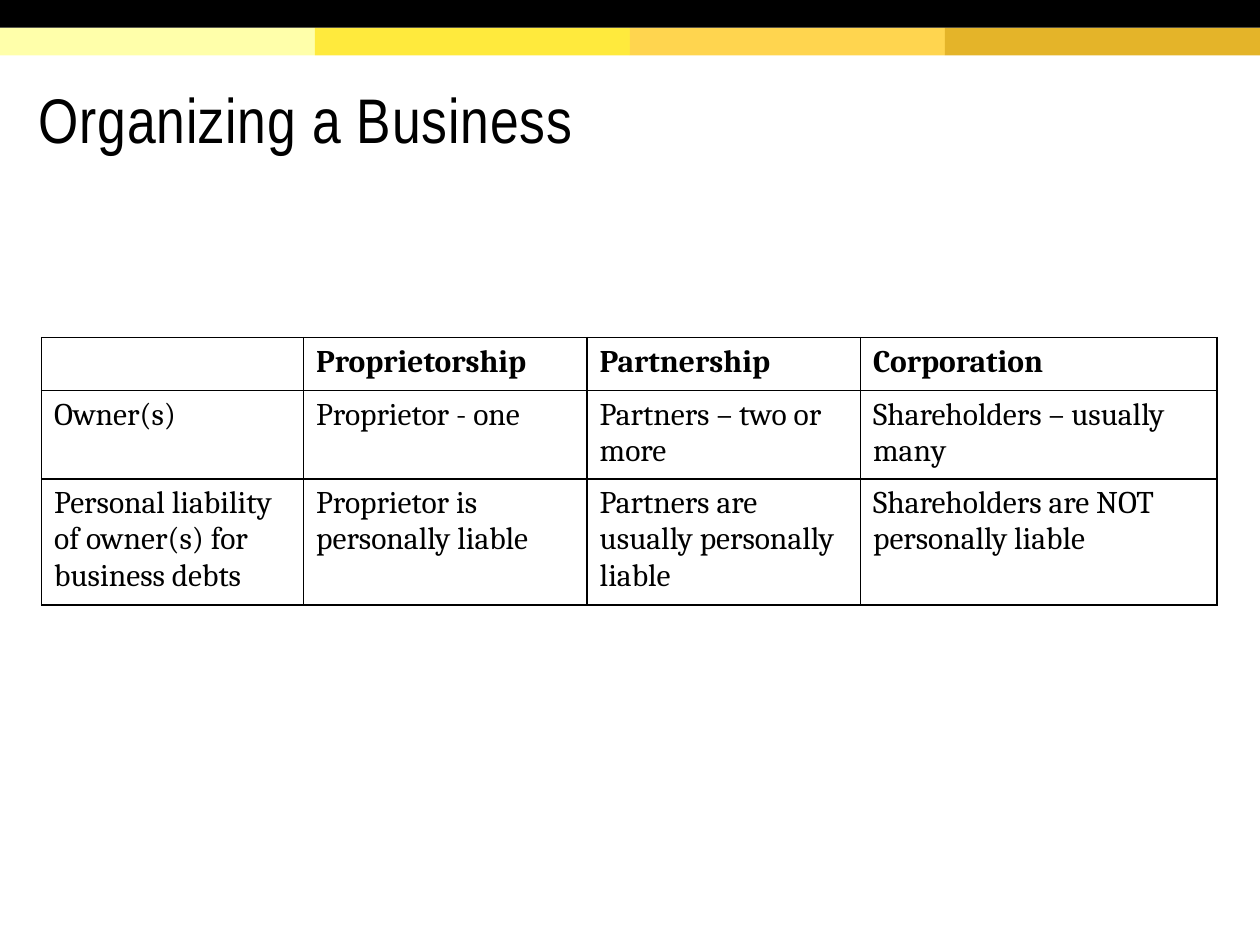
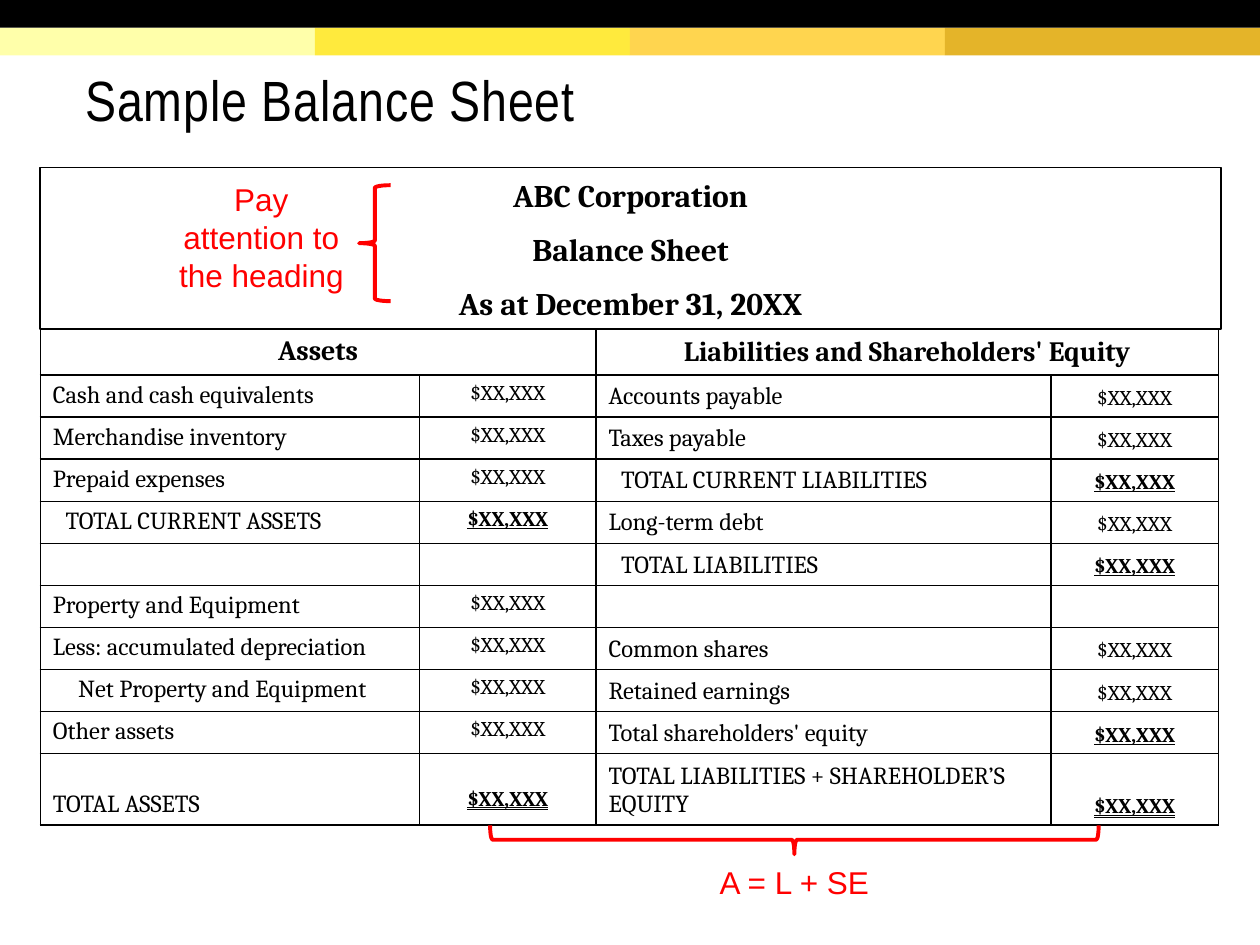
from lxml.etree import SubElement
from pptx import Presentation
from pptx.dml.color import RGBColor
from pptx.enum.shapes import MSO_SHAPE
from pptx.enum.text import MSO_ANCHOR, MSO_UNDERLINE, PP_ALIGN
from pptx.oxml.ns import qn
from pptx.util import Inches, Pt

BLACK, RED = "000000", "FF0000"
BAND_COLOURS = ["FFFFAA", "FFEA3D", "FFD54F", "E4B429"]
BAND_HEIGHT = 0.22
TITLE_FONT, TABLE_FONT, NOTE_FONT = "Arial Narrow", "Cambria", "Arial"
AMOUNT = "$XX,XXX"

OWNERSHIP = [
    ["", "Proprietorship", "Partnership", "Corporation"],
    ["Owner(s)", "Proprietor - one", "Partners – two or more",
     "Shareholders – usually many"],
    ["Personal liability of owner(s) for business debts",
     "Proprietor is personally liable",
     "Partners are usually personally liable",
     "Shareholders are NOT personally liable"],
]
HEADING = ["ABC Corporation", "Balance Sheet", "As at December 31, 20XX"]
ASSETS = ["Cash and cash equivalents", "Merchandise inventory",
          "Prepaid expenses", "TOTAL CURRENT ASSETS", "",
          "Property and Equipment", "Less: accumulated depreciation",
          "Net Property and Equipment", "Other assets", "TOTAL ASSETS"]
CLAIMS = ["Accounts payable", "Taxes payable", "TOTAL CURRENT LIABILITIES",
          "Long-term debt", "TOTAL LIABILITIES", "", "Common shares",
          "Retained earnings", "Total shareholders' equity",
          "TOTAL LIABILITIES + SHAREHOLDER’S EQUITY"]
INDENTS = {"TOTAL CURRENT ASSETS": 0.1, "TOTAL CURRENT LIABILITIES": 0.1,
           "TOTAL LIABILITIES": 0.1, "Net Property and Equipment": 0.2}
GRAND_TOTALS = {ASSETS[-1], CLAIMS[-1]}
SUBTOTALS = {"TOTAL CURRENT ASSETS", "TOTAL CURRENT LIABILITIES",
             "TOTAL LIABILITIES", "Total shareholders' equity"}


def colour(hex_code):
    """Turn a hex string into a colour."""
    return RGBColor.from_string(hex_code)


def style(paragraph, font_name, size, hex_code=BLACK, bold=False,
          align=PP_ALIGN.LEFT):
    """Set the font and alignment of a paragraph."""
    paragraph.alignment = align
    font = paragraph.font
    font.name, font.size, font.bold = font_name, Pt(size), bold
    font.color.rgb = colour(hex_code)


def add_outline(slide, preset, box, hex_code, width):
    """Add an unfilled preset shape with a line."""
    outline = slide.shapes.add_shape(preset, *map(Inches, box))
    outline.shadow.inherit = False
    outline.fill.background()
    outline.line.color.rgb = colour(hex_code)
    outline.line.width = Pt(width)
    return outline


def add_band(slide, left, top, width, hex_code):
    """Add one solid band of the page header."""
    band = slide.shapes.add_shape(
        MSO_SHAPE.RECTANGLE, Inches(left), Inches(top), Inches(width),
        Inches(BAND_HEIGHT))
    band.shadow.inherit = False
    band.fill.solid()
    band.fill.fore_color.rgb = colour(hex_code)
    band.line.fill.background()


def add_text(slide, text, box):
    """Add a wrapped text box and return its frame."""
    frame = slide.shapes.add_textbox(*map(Inches, box)).text_frame
    frame.word_wrap = True
    frame.text = text
    return frame


def add_page(deck, title, title_box, title_size):
    """Add a slide with the header bands and a title."""
    slide = deck.slides.add_slide(deck.slide_layouts[6])
    band_width = 10 / len(BAND_COLOURS)
    for index, hex_code in enumerate(BAND_COLOURS):
        add_band(slide, index * band_width, BAND_HEIGHT, band_width, hex_code)
    add_band(slide, 0, 0, 10, BLACK)
    frame = add_text(slide, title, title_box)
    frame.vertical_anchor = MSO_ANCHOR.MIDDLE
    frame.margin_top = Inches(0.1)
    heading = frame.paragraphs[0]
    style(heading, TITLE_FONT, title_size)
    heading.line_spacing = 0.85
    heading.runs[0]._r.get_or_add_rPr().set("spc", "50")
    return slide


def add_note(slide, text, box):
    """Add a red centred remark."""
    frame = add_text(slide, text, box)
    style(frame.paragraphs[0], NOTE_FONT, 18, RED, align=PP_ALIGN.CENTER)


def add_brace(slide, box, rotation=0):
    """Add a red brace."""
    brace = add_outline(slide, MSO_SHAPE.LEFT_BRACE, box, RED, 2.25)
    brace.rotation = rotation


def set_borders(cell):
    """Draw a thin black line on every side of a cell."""
    properties = cell._tc.get_or_add_tcPr()
    for position, side in enumerate(("lnL", "lnR", "lnT", "lnB")):
        border = SubElement(properties, qn(f"a:{side}"), w=str(Pt(1)))
        fill = SubElement(border, qn("a:solidFill"))
        SubElement(fill, qn("a:srgbClr"), val=BLACK)
        properties.insert(position, border)


def add_grid(slide, left, top, widths, heights):
    """Add an empty table with black borders and no fill."""
    table = slide.shapes.add_table(
        len(heights), len(widths), Inches(left), Inches(top),
        Inches(sum(widths)), Inches(sum(heights))).table
    table.first_row = table.horz_banding = False
    for column, width in zip(table.columns, widths):
        column.width = Inches(width)
    for row, height in zip(table.rows, heights):
        row.height = Inches(height)
    for cell in table.iter_cells():
        cell.fill.background()
        set_borders(cell)
    return table


def fill_cell(cell, text, size, bold=False, align=PP_ALIGN.LEFT,
              anchor=MSO_ANCHOR.TOP):
    """Write styled text into a cell."""
    cell.text = text
    cell.vertical_anchor = anchor
    paragraph = cell.text_frame.paragraphs[0]
    style(paragraph, TABLE_FONT, size, bold=bold, align=align)
    if not text:
        SubElement(paragraph._p, qn("a:endParaRPr"), sz=str(size * 100))


def fill_side(table, first_column, heading, labels, anchor):
    """Fill the label and amount columns of one side of the sheet."""
    header = table.cell(0, first_column)
    header.merge(table.cell(0, first_column + 1))
    fill_cell(header, heading, 16, True, PP_ALIGN.CENTER, anchor)
    for row, label in enumerate(labels, 1):
        grand = label in GRAND_TOTALS
        total = grand or label in SUBTOTALS
        row_anchor = MSO_ANCHOR.BOTTOM if grand else anchor
        item = table.cell(row, first_column)
        fill_cell(item, label, 14, anchor=row_anchor)
        item.margin_left = Inches(0.1 + INDENTS.get(label, 0))
        amount = table.cell(row, first_column + 1)
        fill_cell(amount, AMOUNT if label else "", 12, total,
                  PP_ALIGN.CENTER, row_anchor)
        if total:
            amount.text_frame.paragraphs[0].font.underline = (
                MSO_UNDERLINE.DOUBLE_LINE if grand
                else MSO_UNDERLINE.SINGLE_LINE)
        if grand and anchor == MSO_ANCHOR.TOP:
            amount.margin_bottom = Inches(0.11)


def add_sheet_heading(slide):
    """Add the framed three-line heading of the balance sheet."""
    frame = add_outline(slide, MSO_SHAPE.RECTANGLE, (0.32, 1.33, 9.37, 1.28),
                        BLACK, 1).text_frame
    frame.vertical_anchor = MSO_ANCHOR.TOP
    frame.margin_top = Inches(0.07)
    frame.text = "\n".join(HEADING)
    for paragraph in frame.paragraphs:
        style(paragraph, TABLE_FONT, 18, bold=True, align=PP_ALIGN.CENTER)
        paragraph.space_after = Pt(9)


def build_ownership(deck):
    """Build the comparison of business forms."""
    slide = add_page(deck, "Organizing a Business",
                     (0.21, 0.47, 9.49, 0.98), 36)
    table = add_grid(slide, 0.33, 2.68, [2.08, 2.25, 2.17, 2.83],
                     [0.42, 0.68, 0.96])
    for row, texts in enumerate(OWNERSHIP):
        for column, text in enumerate(texts):
            fill_cell(table.cell(row, column), text, 18, bold=row == 0)


def build_balance_sheet(deck):
    """Build the annotated balance sheet."""
    slide = add_page(deck, "Sample Balance Sheet", (0.58, 0.5, 9, 0.6), 32.4)
    add_sheet_heading(slide)
    table = add_grid(slide, 0.32, 2.61, [3.01, 1.4, 3.61, 1.33],
                     [0.35] + [0.32] * 9 + [0.55])
    fill_side(table, 0, "Assets", ASSETS, MSO_ANCHOR.TOP)
    fill_side(table, 2, "Liabilities and Shareholders' Equity", CLAIMS,
              MSO_ANCHOR.BOTTOM)
    add_note(slide, "Pay attention to the heading", (1.31, 1.38, 1.53, 1.01))
    add_brace(slide, (2.85, 1.47, 0.25, 0.92))
    add_brace(slide, (6.19, 4.25, 0.23, 4.83), 270)
    add_note(slide, "A = L + SE", (5.54, 6.8, 1.53, 0.4))


def main():
    """Build and save the deck."""
    deck = Presentation()
    deck.slide_width, deck.slide_height = Inches(10), Inches(7.5)
    build_ownership(deck)
    build_balance_sheet(deck)
    deck.save("out.pptx")


if __name__ == "__main__":
    main()
